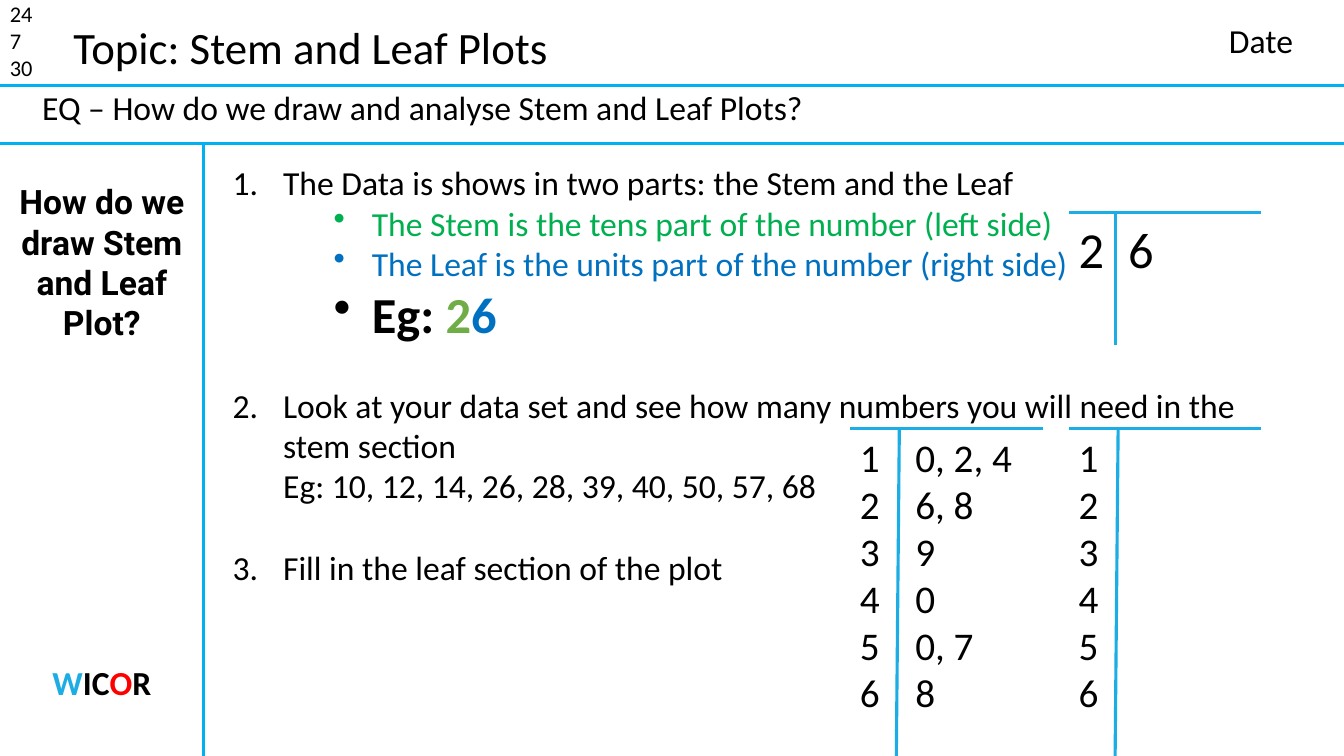
from lxml import etree
from pptx import Presentation
from pptx.dml.color import RGBColor
from pptx.enum.shapes import MSO_CONNECTOR
from pptx.enum.text import MSO_ANCHOR, PP_ALIGN
from pptx.oxml.ns import qn
from pptx.util import Inches, Pt

STRAIGHT = MSO_CONNECTOR.STRAIGHT
TOP = MSO_ANCHOR.TOP
LEFT = PP_ALIGN.LEFT
CENTER = PP_ALIGN.CENTER

BLACK = "000000"
FRAME_BLUE = "00B0F0"
PLOT_BLUE = "1CADE4"
LEAF_BLUE = "0070C0"
STEM_GREEN = "00B050"
DIGIT_GREEN = "70AD47"
RED = "FF0000"


def color(value):
    return RGBColor.from_string(value)


class NotesSlide:
    """Holds the text style and the current slide, and draws its elements."""

    style = {"name": "Calibri", "size": 24, "bold": False, "color": BLACK}

    def __init__(self, slide):
        self.slide = slide

    def line(self, start, end, line_color):
        points = [Inches(value) for value in (*start, *end)]
        connector = self.slide.shapes.add_connector(STRAIGHT, *points)
        connector.line.color.rgb = color(line_color)
        connector.line.width = Pt(2.25)
        etree.SubElement(connector._element.spPr, qn("a:effectLst"))

    def text(self, box, paragraphs, align=LEFT, wrap=True, **style):
        shape = self.slide.shapes.add_textbox(*[Inches(value) for value in box])
        frame = shape.text_frame
        frame.word_wrap = wrap
        frame.vertical_anchor = TOP
        for index, item in enumerate(paragraphs):
            item = {"runs": item} if not isinstance(item, dict) else item
            paragraph = frame.paragraphs[0] if index == 0 else frame.add_paragraph()
            self.layout(paragraph, **{k: v for k, v in item.items() if k != "runs"})
            paragraph.alignment = align
            runs = item["runs"]
            for words, changes in [(runs, {})] if isinstance(runs, str) else runs:
                self.run(paragraph, words, {**self.style, **style, **changes})

    def run(self, paragraph, words, style):
        run = paragraph.add_run()
        run.text = words
        values = {**style, "size": Pt(style["size"])}
        run.font.color.rgb = color(values.pop("color"))
        for attribute, value in values.items():
            setattr(run.font, attribute, value)

    def layout(self, paragraph, indent=None, number=None, bullet=None, tab=None, before=0):
        properties = paragraph._p.get_or_add_pPr()
        if indent:
            margin, hanging = indent
            properties.set("marL", str(Inches(margin)))
            properties.set("indent", str(Inches(hanging)))
        if number:
            etree.SubElement(properties, qn("a:buAutoNum"), type="arabicPeriod", startAt=str(number))
        if bullet:
            etree.SubElement(properties, qn("a:buChar"), char=bullet)
        if tab:
            tabs = etree.SubElement(properties, qn("a:tabLst"))
            etree.SubElement(tabs, qn("a:tab"), pos=str(Inches(tab)), algn="l")
        if before:
            paragraph.space_before = Pt(before)

    def stem_plot(self, left, top, bottom, rows, size, tab, lean=0, width=1.91):
        foot = left + 0.46
        self.line((foot + lean, top), (foot, bottom), PLOT_BLUE)
        self.line((left, top), (left + width, top), PLOT_BLUE)
        height = 0.1 + len(rows) * size * 1.22 / 72
        paragraphs = [{"runs": row, "tab": tab} for row in rows]
        self.text((left, top, 2.3, height), paragraphs, size=size)


def main():
    presentation = Presentation()
    presentation.slide_width = Inches(13.33)
    presentation.slide_height = Inches(7.5)
    notes = NotesSlide(presentation.slides.add_slide(presentation.slide_layouts[6]))

    for height in (0.85, 1.42):
        notes.line((0, height), (13.33, height), FRAME_BLUE)
    notes.line((2.02, 1.42), (2.02, 7.5), FRAME_BLUE)

    notes.text((0, -0.05, 0.63, 0.91), ["24", "7", "30"], size=16)
    notes.text((0.63, 0.15, 4.96, 0.64), ["Topic: Stem and Leaf Plots"], wrap=False, size=32)
    notes.text((12.09, 0.15, 1.01, 0.5), ["Date"])
    notes.text((0.32, 0.81, 11.6, 0.5), ["EQ – How do we draw and analyse Stem and Leaf Plots?"])
    notes.text((0, 1.75, 2.02, 1.72), ["How do we draw Stem and Leaf Plot?"],
               align=CENTER, name="Roboto", bold=True)

    step = {"indent": (0.5, -0.5)}
    point = {"indent": (1.38, -0.38), "bullet": "•"}
    example = {"size": 36, "bold": True}
    gap = 29.3
    notes.text((2.21, 1.56, 10.44, 5.01), [
        {**step, "number": 1, "runs": "The Data is shows in two parts: the Stem and the Leaf"},
        {**point, "runs": [("The Stem is the tens part of the number (left side)",
                            {"color": STEM_GREEN})]},
        {**point, "runs": [("The Leaf is the units part of the number (right side)",
                            {"color": LEAF_BLUE})]},
        {**point, "runs": [("Eg: ", example),
                           ("2", {**example, "color": DIGIT_GREEN}),
                           ("6", {**example, "color": LEAF_BLUE})]},
        {**step, "number": 2, "before": gap,
         "runs": "Look at your data set and see how many numbers you will need in the stem section"},
        {"indent": (0.5, 0), "runs": "Eg: 10, 12, 14, 26, 28, 39, 40, 50, 57, 68"},
        {**step, "number": 3, "before": gap, "runs": "Fill in the leaf section of the plot"},
    ])

    leaves = ["0, 2, 4", "6, 8", "9", "0", "0, 7", "8"]
    stems = [str(stem) for stem in range(1, len(leaves) + 1)]
    filled = [f"{stem}\t{leaf}" for stem, leaf in zip(stems, leaves)]
    notes.stem_plot(10.6, 2.11, 3.42, ["2\t6"], size=36, tab=0.49)
    notes.stem_plot(10.6, 4.25, 7.5, stems, size=28, tab=0.55, lean=0.03)
    notes.stem_plot(8.43, 4.25, 7.5, filled, size=28, tab=0.55, lean=0.03)

    notes.text((-0.1, 6.52, 2.22, 0.5), [[
        ("W", {"color": PLOT_BLUE}), ("IC", {}), ("O", {"color": RED}), ("R", {}),
    ]], align=CENTER, bold=True)

    presentation.save("out.pptx")


if __name__ == "__main__":
    main()
